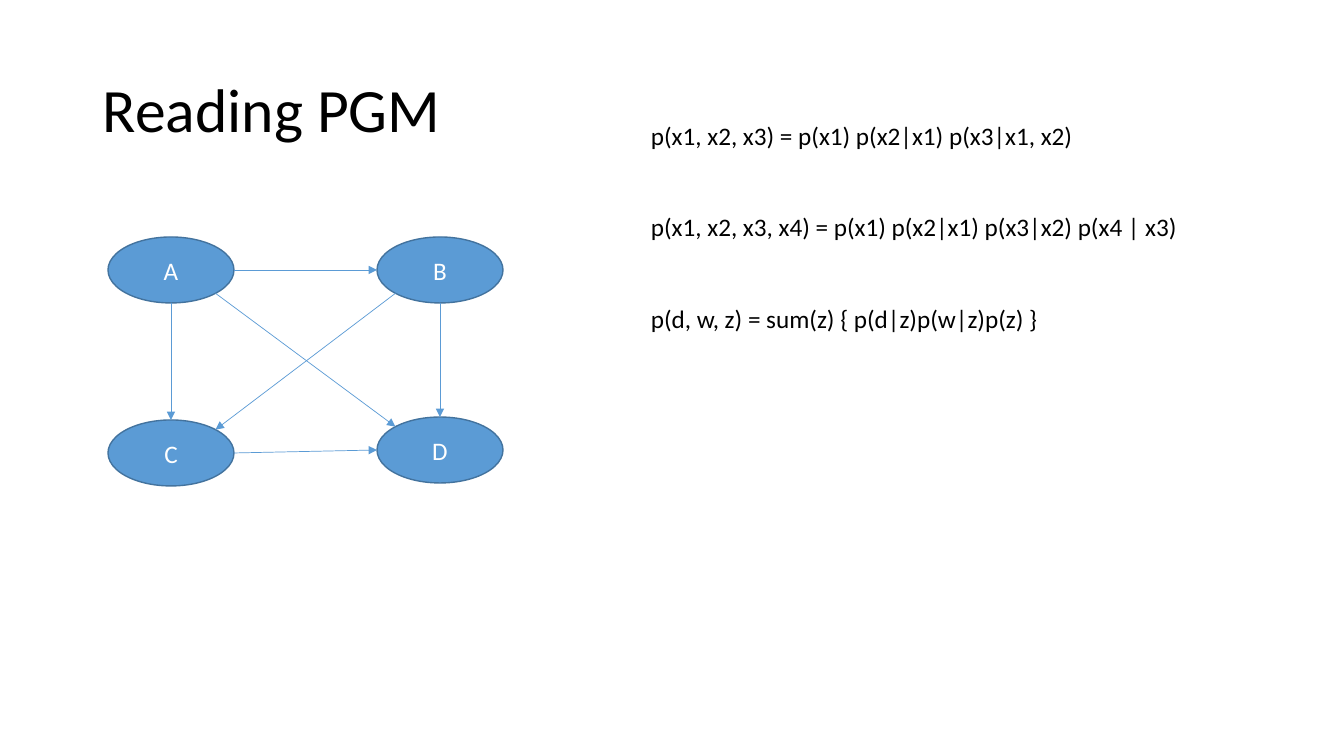
from math import cos, pi, sin

from lxml.etree import SubElement
from pptx import Presentation
from pptx.dml.color import RGBColor
from pptx.enum.shapes import MSO_CONNECTOR as Link, MSO_SHAPE as Form
from pptx.enum.text import MSO_ANCHOR as Anchor, PP_ALIGN as Align
from pptx.oxml.ns import qn
from pptx.util import Pt

SCALE = 914400 / 100.8
NODE_W, NODE_H = 126, 66
NODES = {"A": (108, 237), "C": (108, 420), "B": (377, 237), "D": (377, 417)}
# Ellipse sites run counterclockwise from the top in steps of 45 degrees.
TOP, UP_LEFT, LEFT, LOW_LEFT, LOW, LOW_RIGHT, RIGHT, UP_RIGHT = range(8)
EDGES = [
    ("A", RIGHT, "B", LEFT),
    ("B", LOW, "D", TOP),
    ("A", LOW_RIGHT, "D", UP_LEFT),
    ("B", LOW_LEFT, "C", UP_RIGHT),
    ("A", LOW, "C", TOP),
    ("C", RIGHT, "D", LEFT),
]
RULES = [
    "p(x1, x2, x3) = p(x1) p(x2|x1) p(x3|x1, x2)",
    "p(x1, x2, x3, x4) = p(x1) p(x2|x1) p(x3|x2) p(x4 | x3)",
    "p(d, w, z) = sum(z) { p(d|z)p(w|z)p(z) }",
]


def px(num):
    return round(num * SCALE)


def color(code):
    return RGBColor.from_string(code)


def style(item, form):
    for name, value in form.items():
        setattr(item, name, value)


def write(frame, lines, size, ink, form):
    """Fill a text frame, one paragraph a line, with paragraph format values."""
    frame.word_wrap = True
    for i, line in enumerate(lines):
        para = frame.add_paragraph() if i else frame.paragraphs[0]
        run = para.add_run()
        run.text = line
        style(run.font, {"name": "Calibri", "size": Pt(size)})
        run.font.color.rgb = color(ink)
        style(para, form)


def add_text(slide, box, lines, size, anchor, form):
    frame = slide.shapes.add_textbox(*map(px, box)).text_frame
    frame.vertical_anchor = anchor
    write(frame, lines, size, "000000", form)


def add_node(slide, name, spot):
    node = slide.shapes.add_shape(Form.OVAL, *map(px, (*spot, NODE_W, NODE_H)))
    node.shadow.inherit = False
    node.fill.solid()
    node.fill.fore_color.rgb = color("5B9BD5")
    node.line.color.rgb = color("43739E")
    node.line.width = Pt(1)
    node.text_frame.vertical_anchor = Anchor.MIDDLE
    write(node.text_frame, [name], 18, "FFFFFF", {"alignment": Align.CENTER})
    return node


def site(node, index):
    """Return the point of an ellipse's connection site."""
    turn = index * pi / 4
    return (round(node.left + node.width / 2 * (1 - sin(turn))),
            round(node.top + node.height / 2 * (1 - cos(turn))))


def add_arrow(slide, start, out, end, into):
    """Join two ellipses; their eight sites are glued through XML."""
    arrow = slide.shapes.add_connector(
        Link.STRAIGHT, *site(start, out), *site(end, into))
    arrow.line.color.rgb = color("5B9BD5")
    arrow.line.width = Pt(0.5)
    SubElement(arrow.line._get_or_add_ln(), qn("a:tailEnd"), type="triangle")
    SubElement(arrow._element.spPr, qn("a:effectLst"))
    glue = arrow._element.nvCxnSpPr.cNvCxnSpPr
    for tag, node, index in (("a:stCxn", start, out), ("a:endCxn", end, into)):
        SubElement(glue, qn(tag), id=str(node.shape_id), idx=str(index))


def main():
    deck = Presentation()
    style(deck, {"slide_width": px(1344), "slide_height": px(756)})
    slide = deck.slides.add_slide(deck.slide_layouts[6])
    add_text(slide, (93, 40, 1159, 146), ["Reading PGM"], 44,
             Anchor.MIDDLE, {"line_spacing": 0.9})
    nodes = {name: add_node(slide, name, spot) for name, spot in NODES.items()}
    for start, out, end, into in EDGES:
        add_arrow(slide, nodes[start], out, nodes[end], into)
    add_text(slide, (641, 115, 563, 254), RULES, 18,
             Anchor.TOP, {"space_after": Pt(44)})
    deck.save("out.pptx")


if __name__ == "__main__":
    main()
